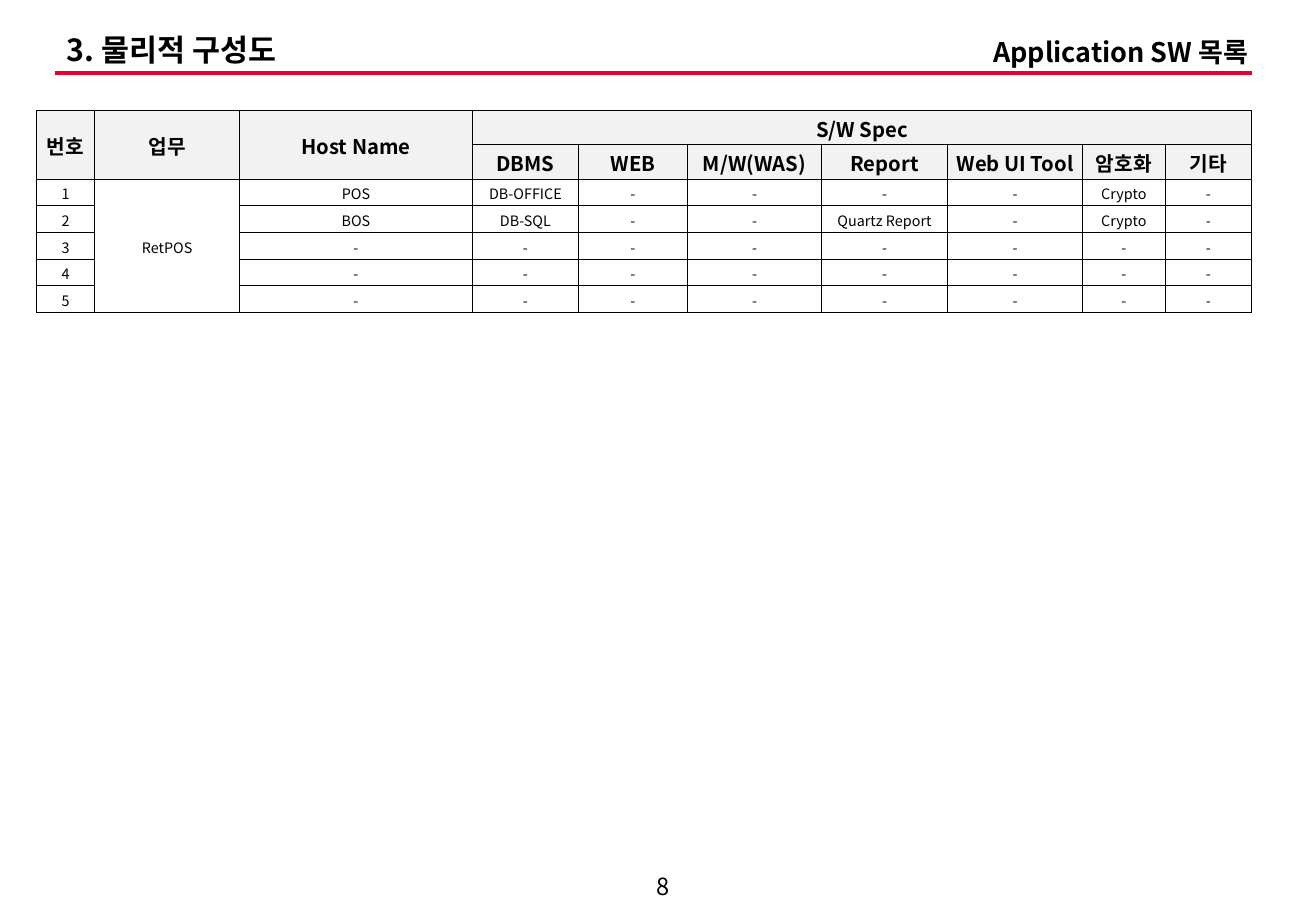
from lxml.etree import SubElement
from pptx import Presentation
from pptx.dml.color import RGBColor
from pptx.enum.shapes import MSO_CONNECTOR
from pptx.enum.text import MSO_ANCHOR, MSO_AUTO_SIZE, PP_ALIGN
from pptx.oxml import parse_xml
from pptx.oxml.ns import nsdecls, qn
from pptx.util import Pt

PX = 9144  # 100 px to the inch
FONT = "Noto Sans CJK KR"
BLACK = RGBColor(0x00, 0x00, 0x00)
RED = RGBColor(0xEA, 0x00, 0x2C)
HEADER_GRAY = RGBColor(0xF2, 0xF2, 0xF2)

COL_WIDTHS = [48, 119, 192, 87, 90, 110, 104, 111, 68, 71]
HEADER_HEIGHT, BODY_HEIGHT = 28, 22
HEADER_ROWS = 2
ROWS = [
    ["번호", "업무", "Host Name", "S/W Spec", "", "", "", "", "", ""],
    ["", "", "", "DBMS", "WEB", "M/W(WAS)", "Report", "Web UI Tool", "암호화", "기타"],
    ["1", "RetPOS", "POS", "DB-OFFICE", "-", "-", "-", "-", "Crypto", "-"],
    ["2", "", "BOS", "DB-SQL", "-", "-", "Quartz Report", "-", "Crypto", "-"],
    *([str(n), ""] + ["-"] * 8 for n in (3, 4, 5)),
]
# first row, first column, last row, last column
MERGES = [(0, 0, 1, 0), (0, 1, 1, 1), (0, 2, 1, 2), (0, 3, 0, 9), (2, 1, 6, 1)]


def write(tf, text, size, bold=False, align=PP_ALIGN.LEFT):
    tf.text = text
    p = tf.paragraphs[0]
    p.alignment = align
    for r in p.runs:
        r.font.size = Pt(size)
        r.font.bold = bold
        r.font.color.rgb = BLACK
        r.font.name = FONT
        SubElement(r.font._element, qn("a:ea"), typeface=FONT)
    return p


def place_text(sp, box, text, size, bold, align):
    """Move a placeholder or text box to box and centre its text vertically."""
    sp.left, sp.top, sp.width, sp.height = (v * PX for v in box)
    tf = sp.text_frame
    tf.word_wrap = True
    tf.auto_size = MSO_AUTO_SIZE.NONE
    tf.vertical_anchor = MSO_ANCHOR.MIDDLE
    tf.margin_left = tf.margin_right = 10 * PX
    tf.margin_top = tf.margin_bottom = 0
    return write(tf, text, size, bold, align)


def add_text(slide, box, text, size, bold, align):
    sp = slide.shapes.add_textbox(0, 0, PX, PX)
    place_text(sp, box, text, size, bold, align)


def add_rule(slide, x1, x2, y):
    line = slide.shapes.add_connector(
        MSO_CONNECTOR.STRAIGHT, x1 * PX, y * PX, x2 * PX, y * PX)
    line.line.color.rgb = RED
    line.line.width = Pt(2.25)
    SubElement(line._element.spPr, qn("a:effectLst"))


def add_borders(cell):
    tcPr = cell._tc.get_or_add_tcPr()
    for side in "LRTB":
        tcPr.append(parse_xml(
            f'<a:ln{side} {nsdecls("a")} w="{Pt(0.5)}"><a:solidFill>'
            f'<a:srgbClr val="{BLACK}"/></a:solidFill></a:ln{side}>'))


def format_cell(cell, text, is_header):
    add_borders(cell)
    if is_header:
        cell.fill.solid()
        cell.fill.fore_color.rgb = HEADER_GRAY
    else:
        cell.fill.background()
    cell.vertical_anchor = MSO_ANCHOR.MIDDLE
    cell.margin_left = cell.margin_right = 0
    cell.margin_top, cell.margin_bottom = 3 * PX, PX
    p = write(cell.text_frame, text, 12 if is_header else 8.5, is_header, PP_ALIGN.CENTER)
    if not text:
        p.font.size = Pt(8)


def add_software_table(slide, left, top):
    heights = [HEADER_HEIGHT if i < HEADER_ROWS else BODY_HEIGHT for i in range(len(ROWS))]
    frame = slide.shapes.add_table(
        len(ROWS), len(COL_WIDTHS), left * PX, top * PX,
        sum(COL_WIDTHS) * PX, sum(heights) * PX)
    table = frame.table
    table.first_row = table.horz_banding = False
    for column, width in zip(table.columns, COL_WIDTHS):
        column.width = width * PX
    for i, (row, height) in enumerate(zip(table.rows, heights)):
        row.height = height * PX
        for cell, text in zip(row.cells, ROWS[i]):
            format_cell(cell, text, i < HEADER_ROWS)
    for r1, c1, r2, c2 in MERGES:
        table.cell(r1, c1).merge(table.cell(r2, c2))


def main():
    prs = Presentation()
    prs.slide_width, prs.slide_height = 1083 * PX, 750 * PX
    slide = prs.slides.add_slide(prs.slide_layouts[5])
    add_rule(slide, 45, 1030, 60)
    title = place_text(slide.shapes.title, (45, 24, 953, 37),
                       "3. 물리적 구성도", 18, True, PP_ALIGN.LEFT)
    title.line_spacing = 0.9
    add_text(slide, (763, 24, 274, 37), "Application SW 목록", 16, True, PP_ALIGN.RIGHT)
    add_software_table(slide, 30, 91)
    add_text(slide, (510, 714, 71, 31), "8", 14, False, PP_ALIGN.CENTER)
    prs.save("out.pptx")


if __name__ == "__main__":
    main()
